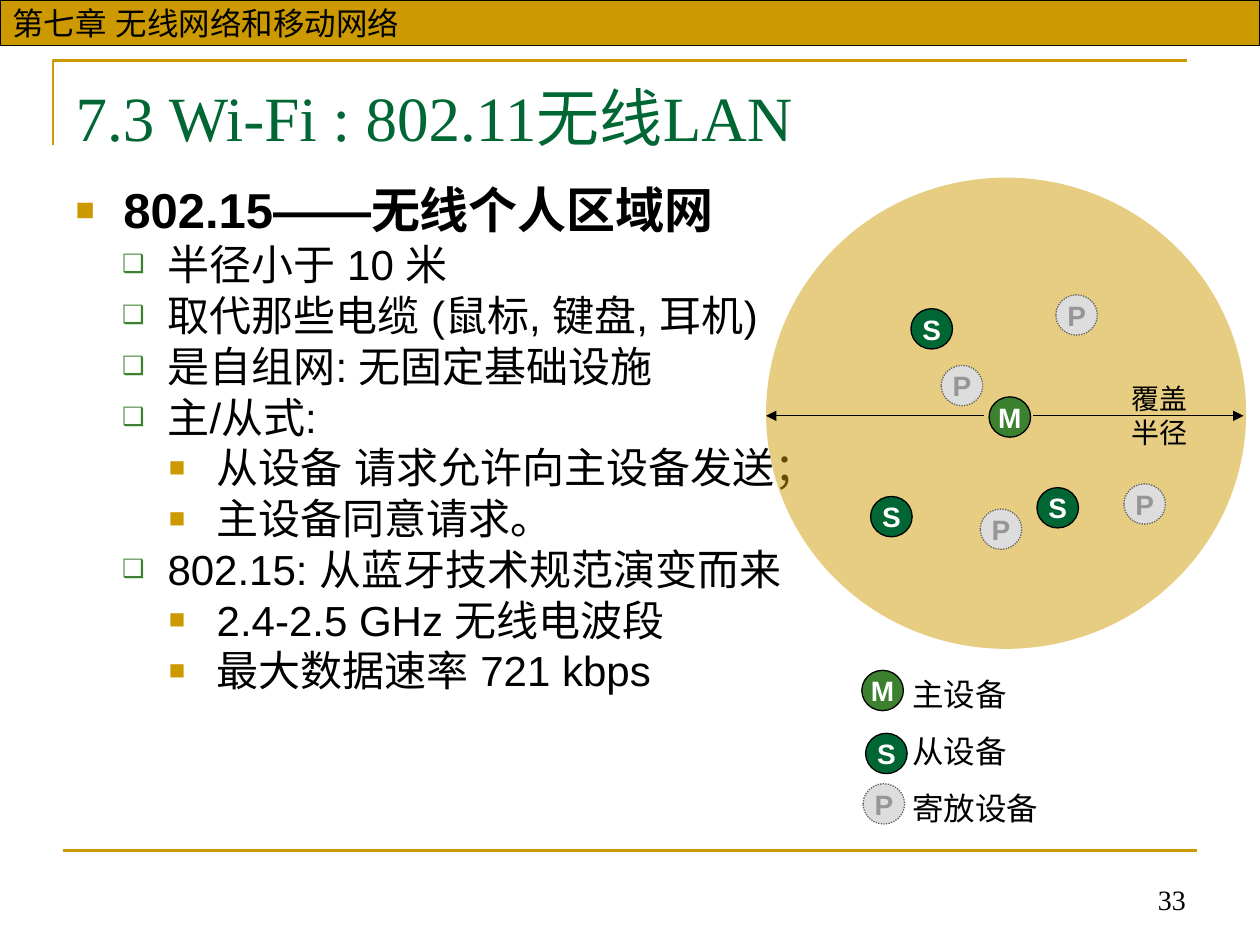
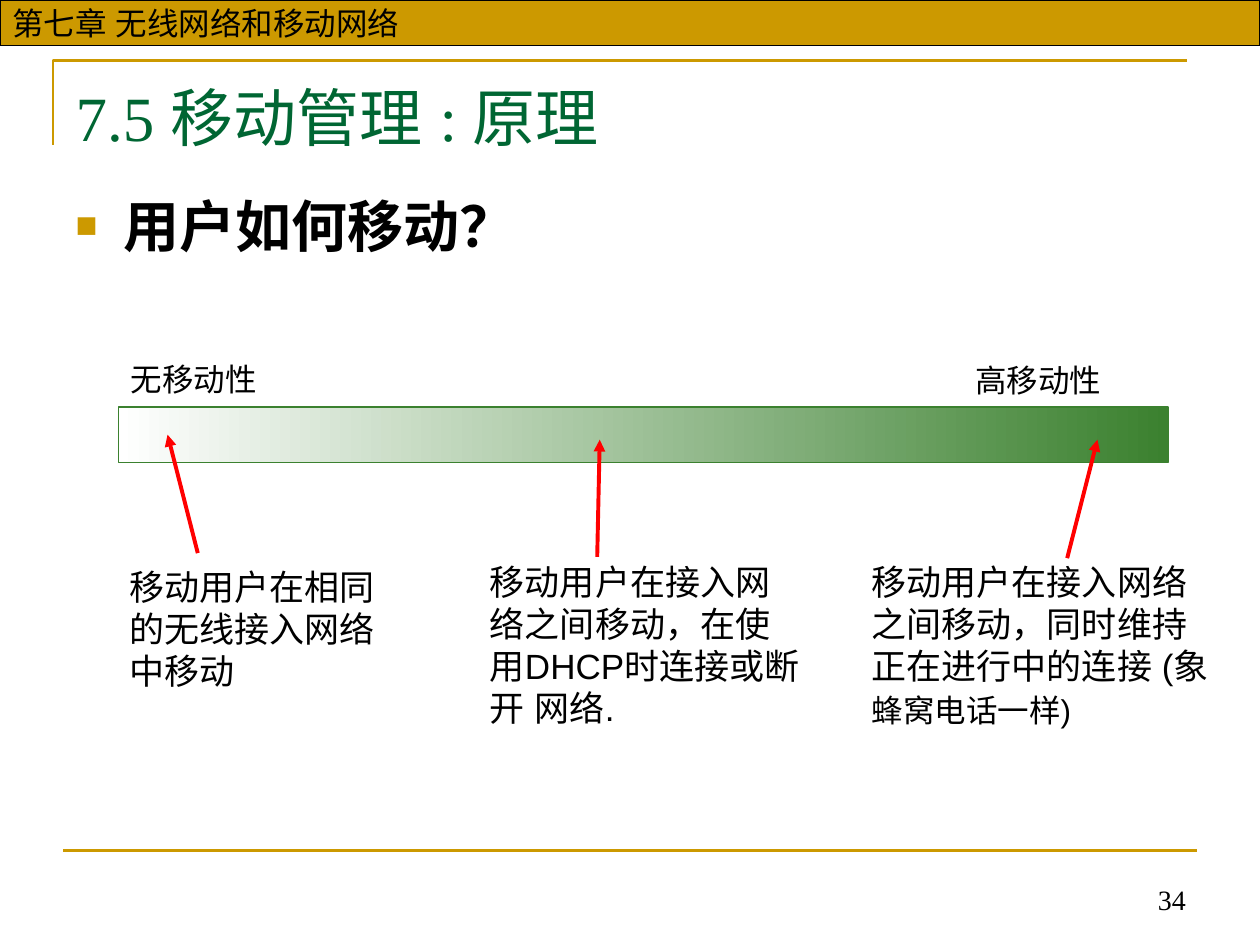
from lxml.etree import SubElement
from pptx import Presentation
from pptx.dml.color import RGBColor
from pptx.enum.dml import MSO_LINE
from pptx.enum.lang import MSO_LANGUAGE_ID
from pptx.enum.shapes import MSO_CONNECTOR, MSO_SHAPE
from pptx.enum.text import MSO_ANCHOR, MSO_AUTO_SIZE, PP_ALIGN
from pptx.oxml.ns import qn
from pptx.util import Inches, Pt

COLORS = {name: RGBColor.from_string(value) for name, value in {
    "gold": "CC9900", "dark_green": "006633", "green": "3B812F",
    "black": "000000", "white": "FFFFFF", "red": "FF0000",
    "light_gray": "DDDDDD", "gray": "969696", "dark_gray": "5F5F5F",
}.items()}

CHAPTER = "第七章 无线网络和移动网络"
SINGLE_LINE = 1.2  # line height as a multiple of the text size

# Left margin, hanging indent, bullet, bullet colour, bullet size in percent
BULLETS = [
    (0.38, 0.38, "■", "gold", 65),
    (0.73, 0.36, "❑", "green", 60),
    (1.12, 0.38, "■", "gold", 65),
]


def write(frame, text, size=18, font="Arial", color="black", bold=False,
          align=PP_ALIGN.LEFT, spacing=1.0, before=0, level=None, tail="", tail_size=18):
    """Add one paragraph to a text frame, with a bullet when a level is given."""
    first = frame.paragraphs[0]
    paragraph = frame.add_paragraph() if first.runs else first
    paragraph.alignment = align
    paragraph.line_spacing = Pt(round(size * SINGLE_LINE * spacing, 1))
    paragraph.space_before = Pt(before)
    if level is not None:
        paragraph.level = level
        margin, hanging, character, bullet_color, percent = BULLETS[level]
        properties = paragraph._p.get_or_add_pPr()
        properties.set("marL", str(Inches(margin)))
        properties.set("indent", str(-Inches(hanging)))
        tint = SubElement(properties, qn("a:buClr"))
        SubElement(tint, qn("a:srgbClr"), val=str(COLORS[bullet_color]))
        SubElement(properties, qn("a:buSzPct"), val=str(percent * 1000))
        SubElement(properties, qn("a:buFont"), typeface="Arial")
        SubElement(properties, qn("a:buChar"), char=character)
    for part, part_size in [(text, size), (tail, tail_size)]:
        if part:
            run = paragraph.add_run()
            run.text = part
            run.font.size = Pt(part_size)
            run.font.name = font
            run.font.bold = bold
            run.font.color.rgb = COLORS[color]
            run.font.language_id = MSO_LANGUAGE_ID.SIMPLIFIED_CHINESE
            SubElement(run._r.get_or_add_rPr(), qn("a:ea"), typeface="Arial")


def add_line(slide, start, end, color, width, arrow=False):
    """Add a straight line, with an arrowhead at its end if asked for."""
    line = slide.shapes.add_connector(
        MSO_CONNECTOR.STRAIGHT, *(Inches(value) for value in (*start, *end)))
    line.line.color.rgb = COLORS[color]
    line.line.width = Pt(width)
    if arrow:
        SubElement(line.line._get_or_add_ln(), qn("a:tailEnd"), type="triangle")
    SubElement(line._element.spPr, qn("a:effectLst"))


presentation = Presentation()
presentation.slide_width = Inches(10)
presentation.slide_height = Inches(7.5)

# Frame, chapter band, page number, title and list of both slides
pages = [
    (33, "7.3 Wi-Fi : 802.11无线LAN", 5.92),
    (34, "7.5 移动管理 : 原理", 9),
]
slides = []
for number, title_text, body_width in pages:
    slide = presentation.slides.add_slide(presentation.slide_layouts[1])
    slides.append(slide)

    builder = slide.shapes.build_freeform(Inches(0.42), Inches(1.15))
    builder.add_line_segments(
        [(Inches(0.42), Inches(0.48)), (Inches(9.42), Inches(0.48))], close=False)
    corner = builder.convert_to_shape()
    corner.shadow.inherit = False
    corner.fill.background()
    corner.line.color.rgb = COLORS["gold"]
    corner.line.width = Pt(1.5)
    add_line(slide, (0.5, 6.75), (9.5, 6.75), "gold", 1.5)

    band = slide.shapes.add_shape(MSO_SHAPE.RECTANGLE, 0, 0, Inches(10), Inches(0.36))
    band.shadow.inherit = False
    band.fill.solid()
    band.fill.fore_color.rgb = COLORS["gold"]
    band.line.color.rgb = COLORS["black"]
    band.line.width = Pt(0.75)
    band.text_frame.vertical_anchor = MSO_ANCHOR.MIDDLE
    write(band.text_frame, CHAPTER)

    page_number = slide.shapes.add_textbox(
        Inches(6.34), Inches(6.82), Inches(3.17), Inches(0.5))
    page_number.text_frame.word_wrap = True
    page_number.text_frame.vertical_anchor = MSO_ANCHOR.BOTTOM
    write(page_number.text_frame, str(number), size=16, font="Times New Roman",
          align=PP_ALIGN.RIGHT)

    title, body = slide.shapes.title, slide.placeholders[1]
    for placeholder, top, width, height, anchor in [
        (title, 0.54, 9, 0.77, MSO_ANCHOR.MIDDLE),
        (body, 1.47, body_width, 5.2, MSO_ANCHOR.TOP),
    ]:
        placeholder.left, placeholder.top = Inches(0.5), Inches(top)
        placeholder.width, placeholder.height = Inches(width), Inches(height)
        placeholder.text_frame.auto_size = MSO_AUTO_SIZE.NONE
        placeholder.text_frame.vertical_anchor = anchor
    write(title.text_frame, title_text, size=36, font="Times New Roman", color="dark_green")

network_slide, mobility_slide = slides

# Personal area network: list
body = network_slide.placeholders[1].text_frame
write(body, "802.15——无线个人区域网", size=28, bold=True, spacing=0.8, level=0)
for level, text in [
    (1, "半径小于 10 米"),
    (1, "取代那些电缆 (鼠标, 键盘, 耳机)"),
    (1, "是自组网: 无固定基础设施"),
    (1, "主/从式:"),
    (2, "从设备 请求允许向主设备发送；"),
    (2, "主设备同意请求。"),
    (1, "802.15: 从蓝牙技术规范演变而来"),
    (2, "2.4-2.5 GHz 无线电波段"),
    (2, "最大数据速率 721 kbps"),
]:
    write(body, text, size=24, spacing=0.8, before=6, level=level)

# Coverage area with its radius
coverage = network_slide.shapes.add_shape(
    MSO_SHAPE.OVAL, Inches(6.08), Inches(1.41), Inches(3.81), Inches(3.74))
coverage.shadow.inherit = False
coverage.fill.solid()
coverage.fill.fore_color.rgb = COLORS["gold"]
coverage_color = coverage._element.spPr.find(qn("a:solidFill"))[0]
SubElement(coverage_color, qn("a:alpha"), val="49000")
coverage.line.fill.background()
add_line(network_slide, (8.2, 3.3), (9.87, 3.3), "black", 0.75, arrow=True)
add_line(network_slide, (7.81, 3.3), (6.08, 3.3), "black", 0.75, arrow=True)
radius_label = network_slide.shapes.add_textbox(
    Inches(8.88), Inches(2.98), Inches(0.64), Inches(0.64))
radius_label.text_frame.word_wrap = False
for text in ["覆盖", "半径"]:
    write(radius_label.text_frame, text, size=16)

# Devices: fill, line and letter colour by role; the last of each is in the legend
device_styles = {
    "M": ("green", "black", "white"),
    "S": ("dark_green", "black", "white"),
    "P": ("light_gray", "dark_gray", "gray"),
}
device_positions = {
    "M": [(7.85, 3.15), (6.84, 5.32)],
    "S": [(7.23, 2.45), (8.23, 3.87), (6.91, 3.94), (6.87, 5.82)],
    "P": [(8.38, 2.34), (7.78, 4.04), (7.47, 2.9), (8.92, 3.84), (6.85, 6.22)],
}
for role, positions in device_positions.items():
    fill_color, line_color, letter_color = device_styles[role]
    for left, top in positions:
        device = network_slide.shapes.add_shape(
            MSO_SHAPE.OVAL, Inches(left), Inches(top), Inches(0.33), Inches(0.32))
        device.shadow.inherit = False
        device.fill.solid()
        device.fill.fore_color.rgb = COLORS[fill_color]
        device.line.color.rgb = COLORS[line_color]
        device.line.width = Pt(0.75)
        if role == "P":
            device.line.dash_style = MSO_LINE.ROUND_DOT
        frame = device.text_frame
        frame.margin_left = frame.margin_right = frame.margin_top = frame.margin_bottom = 0
        frame.word_wrap = False
        frame.vertical_anchor = MSO_ANCHOR.MIDDLE
        write(frame, role, size=16, color=letter_color, bold=True, align=PP_ALIGN.CENTER)

# Legend
legend = network_slide.shapes.add_textbox(
    Inches(7.14), Inches(5.16), Inches(1.2), Inches(1.45))
legend.text_frame.word_wrap = False
for text in ["主设备", "从设备", "寄放设备"]:
    write(legend.text_frame, text, font="Comic Neue", spacing=1.5)

# Mobility: question and scale
write(mobility_slide.placeholders[1].text_frame, "用户如何移动？", size=32,
      font="Noto Sans CJK SC", bold=True, level=0)
scale = mobility_slide.shapes.add_shape(
    MSO_SHAPE.RECTANGLE, Inches(0.94), Inches(3.23), Inches(8.33), Inches(0.44))
scale.shadow.inherit = False
scale.fill.gradient()
scale.fill.gradient_angle = 0
for stop, color in zip(scale.fill.gradient_stops, ["white", "green"]):
    stop.color.rgb = COLORS[color]
scale.line.color.rgb = COLORS["green"]
scale.line.width = Pt(0.75)
for left, top, text in [(0.94, 2.81, "无移动性"), (7.64, 2.82, "高移动性")]:
    scale_label = mobility_slide.shapes.add_textbox(
        Inches(left), Inches(top), Inches(1.2), Inches(0.4))
    scale_label.text_frame.word_wrap = False
    write(scale_label.text_frame, text)

# Cases along the scale, each with an arrow to its place
for left, top, width, height, text, tail, start, end in [
    (0.93, 4.44, 2.27, 1.1, "移动用户在相同的无线接入网络中移动", "",
     (1.57, 4.39), (1.33, 3.45)),
    (3.79, 4.4, 2.66, 1.44, "移动用户在接入网络之间移动，在使用DHCP时连接或断开 网络.", "",
     (4.74, 4.42), (4.76, 3.49)),
    (6.82, 4.4, 2.94, 1.44, "移动用户在接入网络之间移动，同时维持正在进行中的连接 (象",
     "蜂窝电话一样)", (8.47, 4.43), (8.71, 3.49)),
]:
    case = mobility_slide.shapes.add_textbox(
        Inches(left), Inches(top), Inches(width), Inches(height))
    case.text_frame.word_wrap = True
    write(case.text_frame, text, size=20, tail=tail)
    add_line(mobility_slide, start, end, "red", 2.25, arrow=True)

presentation.save("out.pptx")
